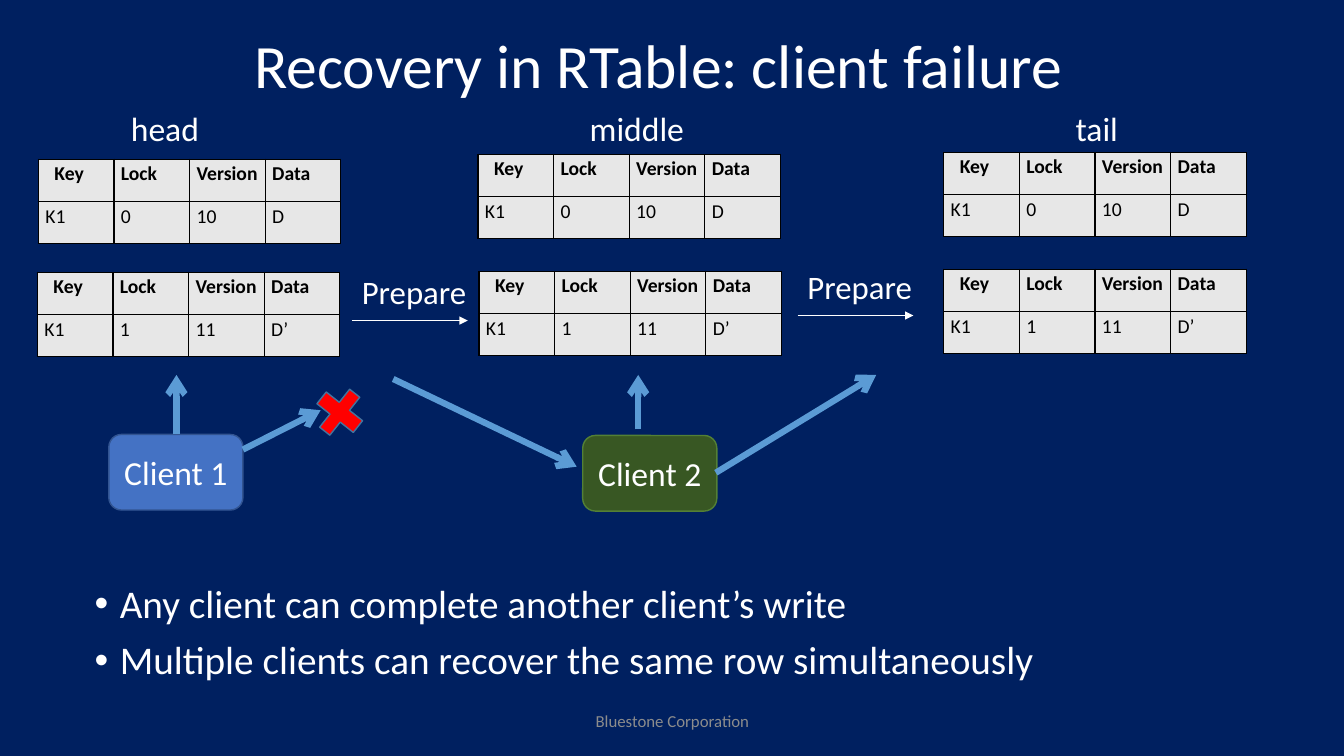
from lxml import etree
from pptx import Presentation
from pptx.dml.color import RGBColor
from pptx.enum.shapes import MSO_CONNECTOR, MSO_SHAPE
from pptx.enum.text import MSO_ANCHOR, PP_ALIGN
from pptx.oxml import parse_xml
from pptx.oxml.ns import nsdecls, qn
from pptx.util import Inches, Pt

STRAIGHT = MSO_CONNECTOR.STRAIGHT
ROUNDED, CROSS = MSO_SHAPE.ROUNDED_RECTANGLE, MSO_SHAPE.CROSS
TOP, MIDDLE = MSO_ANCHOR.TOP, MSO_ANCHOR.MIDDLE
LEFT, CENTER = PP_ALIGN.LEFT, PP_ALIGN.CENTER
FONT, WHITE, BLACK, BLUE = "Calibri", "FFFFFF", "000000", "5B9BD5"
HEADERS = ["Key", "Lock", "Version", "Data"]
OLD_ROW = ["K1", "0", "10", "D"]
NEW_ROW = ["K1", "1", "11", "D’"]


def rgb(value):
    """Return the colour for a hex string."""
    return RGBColor.from_string(value)


def style(p, size, color=WHITE, bold=False, align=LEFT):
    """Format a paragraph and its runs."""
    p.alignment = align
    for r in p.runs:
        r.font.name, r.font.size, r.font.bold = FONT, Pt(size), bold
        r.font.color.rgb = rgb(color)


def add_text(s, box, text, size, color=WHITE, align=LEFT, anchor=TOP, wrap=True):
    """Add a text box with one paragraph per line and return its text frame."""
    tf = s.shapes.add_textbox(*map(Inches, box)).text_frame
    tf.text, tf.word_wrap, tf.vertical_anchor = text, wrap, anchor
    for p in tf.paragraphs:
        style(p, size, color, align=align)
    return tf


def add_bullets(s, box, text, size):
    """Add a bulleted list."""
    for p in add_text(s, box, text, size).paragraphs:
        p.line_spacing, p.space_before = 0.9, Pt(10)
        pPr = p._p.get_or_add_pPr()
        pPr.set("marL", str(Inches(0.25)))
        pPr.set("indent", str(Inches(-0.25)))
        etree.SubElement(pPr, qn("a:buFont"), typeface="Arial")
        etree.SubElement(pPr, qn("a:buChar"), char="•")


def format_cell(cell, text, bold):
    """Fill a cell with text, thin black borders and a grey background."""
    cell.text = text
    cell.margin_left = Inches(0.16 if text == "Key" else 0.07)
    cell.margin_right = Inches(0.07)
    cell.margin_top = cell.margin_bottom = Inches(0.03)
    style(cell.text_frame.paragraphs[0], 14, BLACK, bold)
    tcPr = cell._tc.get_or_add_tcPr()
    for side in "LRTB":
        tcPr.append(parse_xml(
            f'<a:ln{side} {nsdecls("a")} w="{Pt(1)}"><a:solidFill>'
            f'<a:srgbClr val="{BLACK}"/></a:solidFill></a:ln{side}>'))
    cell.fill.solid()
    cell.fill.fore_color.rgb = rgb("E7E7E7")


def add_row_table(s, x, y, values):
    """Add a table with the header row and one data row."""
    table = s.shapes.add_table(2, 4, *map(Inches, (x, y, 3, 0.84))).table
    for i, row in enumerate((HEADERS, values)):
        for j, text in enumerate(row):
            format_cell(table.cell(i, j), text, i == 0)


def add_arrow(s, start, end, color=BLUE, width=4.5, head="arrow"):
    """Add a straight arrow that points at its end."""
    line = s.shapes.add_connector(STRAIGHT, *map(Inches, start + end))
    line.line.color.rgb, line.line.width = rgb(color), Pt(width)
    etree.SubElement(line.line._get_or_add_ln(), qn("a:tailEnd"), type=head)
    etree.SubElement(line._element.spPr, qn("a:effectLst"))


def add_prepare(s, x, y):
    """Add a Prepare label above a thin arrow."""
    add_text(s, (x, y - 0.53, 1.4, 0.5), "Prepare", 23.4)
    add_arrow(s, (x, y), (x + 1.15, y), WHITE, 0.3, "triangle")


def add_shape(s, kind, box, fill, line):
    """Add a filled and outlined preset shape."""
    sp = s.shapes.add_shape(kind, *map(Inches, box))
    sp.shadow.inherit = False
    sp.fill.solid()
    sp.fill.fore_color.rgb = rgb(fill)
    sp.line.color.rgb, sp.line.width = rgb(line), Pt(1)
    return sp


def add_client(s, x, y, text, fill, line):
    """Add a rounded box that names a client."""
    tf = add_shape(s, ROUNDED, (x, y, 1.33, 0.75), fill, line).text_frame
    tf.text, tf.vertical_anchor = text, MIDDLE
    style(tf.paragraphs[0], 24, align=CENTER)


def main():
    """Build and save the slide."""
    prs = Presentation()
    prs.slide_width, prs.slide_height = Inches(13.33), Inches(7.5)
    s = prs.slides.add_slide(prs.slide_layouts[6])
    s.background.fill.solid()
    s.background.fill.fore_color.rgb = rgb("002060")

    title = add_text(s, (1.37, 0.05, 10.33, 1.25), "Recovery in RTable: client failure",
                     44, align=CENTER, anchor=MIDDLE)
    title.paragraphs[0].line_spacing = 0.9
    add_bullets(s, (0.84, 5.75, 12.11, 1.49),
                "Any client can complete another client’s write\n"
                "Multiple clients can recover the same row simultaneously", 28)

    for x, y, values in [(0.38, 1.58, OLD_ROW), (4.74, 1.53, OLD_ROW), (9.36, 1.51, OLD_ROW),
                         (0.37, 2.7, NEW_ROW), (4.75, 2.69, NEW_ROW), (9.36, 2.67, NEW_ROW)]:
        add_row_table(s, x, y, values)
    for x, width, text in [(1.2, 0.89, "head"), (5.75, 1.15, "middle"), (10.57, 0.63, "tail")]:
        add_text(s, (x, 1.02, width, 0.5), text, 24, wrap=False)
    add_prepare(s, 3.49, 3.18)
    add_prepare(s, 7.91, 3.13)

    add_client(s, 1.08, 4.31, "Client 1", "4472C4", "325491")
    add_client(s, 5.78, 4.32, "Client 2", "385723", "538035")
    for start, end in [((1.75, 4.31), (1.75, 3.72)), ((2.41, 4.46), (3.18, 4.07)),
                       ((3.9, 3.76), (5.72, 4.63)), ((6.33, 4.26), (6.33, 3.72)),
                       ((7.1, 4.69), (8.69, 3.72))]:
        add_arrow(s, start, end)
    failure = add_shape(s, CROSS, (3.14, 3.85, 0.46, 0.48), "FF0000", "43739E")
    failure.adjustments[0], failure.rotation = 0.36, 38.3

    add_text(s, (4.42, 6.95, 4.5, 0.4), "Bluestone Corporation", 12, "8C8C8C", CENTER, MIDDLE)
    prs.save("out.pptx")


if __name__ == "__main__":
    main()
